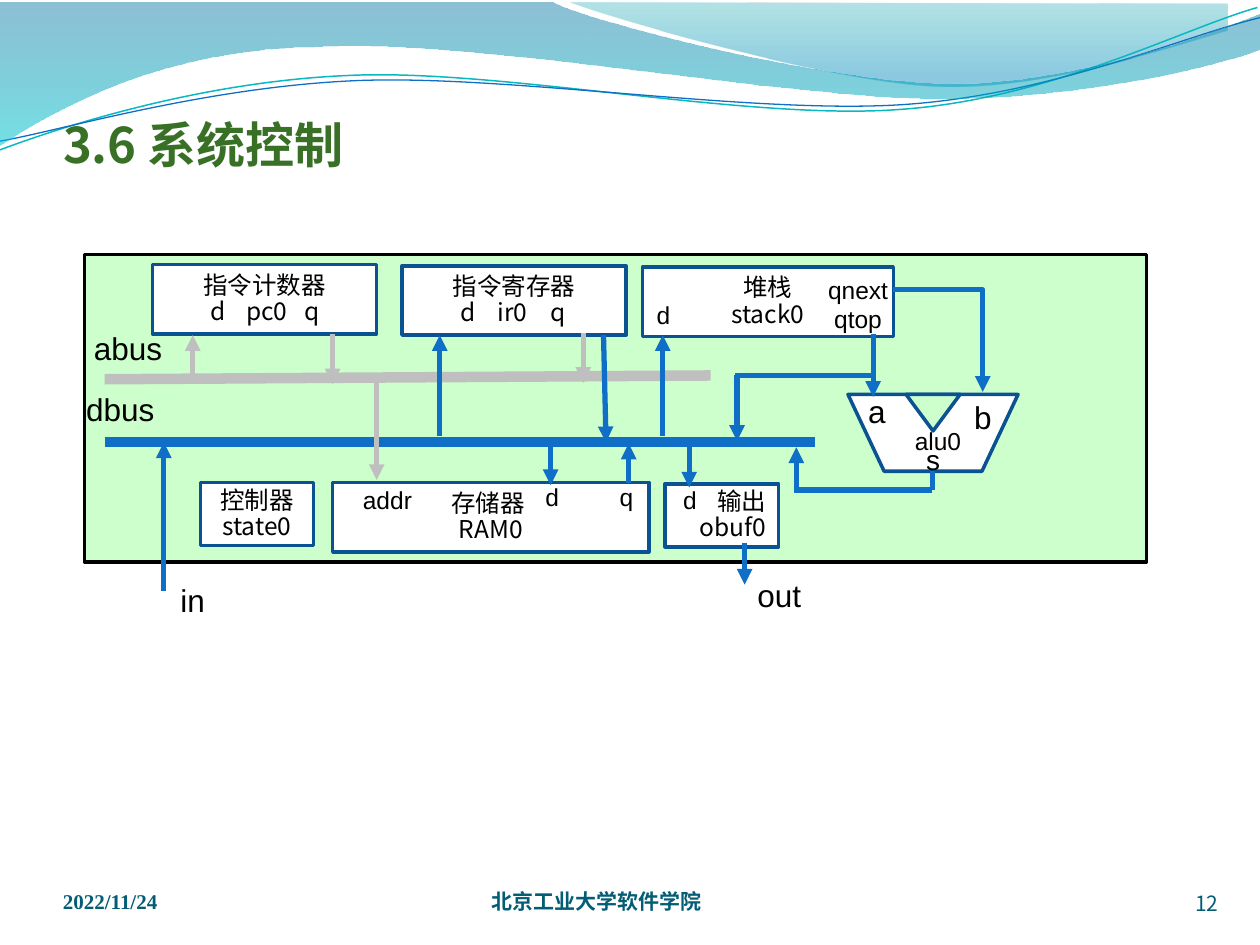
import pptx
import pptx.util
import pptx.dml.color
import pptx.enum.shapes
import pptx.enum.text
import pptx.oxml
import pptx.oxml.ns
from pptx.util import Inches

SHAPE = pptx.enum.shapes.MSO_SHAPE
LINK = pptx.enum.shapes.MSO_CONNECTOR
ALIGN = pptx.enum.text.PP_ALIGN
ANCHOR = pptx.enum.text.MSO_ANCHOR
HAN, LATIN, SERIF = "Noto Sans CJK SC", "Arial", "Times New Roman"
BLUE, GREY, EDGE, GREEN = "0F6FC6", "BFBFBF", "0B5292", "CCFFCC"
WHITE, BLACK, TEAL = "FFFFFF", "000000", "045D75"
NS = 'xmlns:a="http://schemas.openxmlformats.org/drawingml/2006/main"'

BLOCKS = [
    ((1.21, 2.1, 1.78, 0.55), "指令计数器\n\td\tpc0\tq", (0.42, 0.81, 1.17), ALIGN.CENTER),
    ((3.19, 2.11, 1.78, 0.55), "指令寄存器\n\td\tir0\tq", (0.43, 0.78, 1.14), ALIGN.CENTER),
    ((5.1, 2.12, 1.99, 0.55), "堆栈\nstack0", (), ALIGN.CENTER),
    ((1.59, 3.83, 0.9, 0.5), "控制器state0", (), ALIGN.CENTER),
    ((2.64, 3.83, 2.51, 0.55), "存储器 \nRAM0", (), ALIGN.CENTER),
    ((5.28, 3.84, 0.9, 0.5), "输出obuf0", (), ALIGN.RIGHT),
]
BUSES = [(0.83, 3.51, 6.47, 3.51, BLUE), (0.83, 3.01, 5.64, 2.98, GREY)]
ARROWS = [
    (1.3, 4.69, 1.3, 3.51, BLUE), (5.47, 3.5, 5.47, 3.87, BLUE),
    (5.91, 4.31, 5.91, 4.64, BLUE), (2.99, 3.02, 2.99, 3.81, GREY),
    (4.37, 3.5, 4.37, 3.85, BLUE), (4.99, 3.83, 4.99, 3.52, BLUE),
    (5.26, 3.46, 5.26, 2.66, BLUE), (6.93, 2.65, 6.93, 3.15, BLUE),
    (6.32, 3.89, 6.32, 3.55, BLUE), (5.85, 2.98, 5.85, 3.5, BLUE),
    (1.53, 3, 1.53, 2.66, GREY), (2.64, 2.65, 2.64, 3.05, GREY),
    (3.49, 3.46, 3.49, 2.66, BLUE), (4.63, 2.64, 4.63, 3.04, GREY),
    (4.79, 2.66, 4.81, 3.51, BLUE),
]
WIRES = [(7.4, 3.74, 7.4, 3.89), (7.4, 3.89, 6.3, 3.89), (6.93, 2.98, 5.83, 2.98)]
LABELS = [
    ("out", 5.91, 4.52, 0.55, 0.4, 18), ("in", 1.33, 4.56, 0.4, 0.4, 18),
    ("dbus", 0.58, 3.05, 0.75, 0.4, 18), ("abus", 0.64, 2.56, 0.75, 0.4, 18),
    ("addr", 2.78, 3.8, 0.59, 0.34, 14), ("d", 5.32, 3.8, 0.31, 0.34, 14),
    ("d", 5.11, 2.33, 0.31, 0.34, 14), ("qnext\nqtop", 6.47, 2.13, 0.68, 0.57, 14),
    ("alu0", 7.16, 3.33, 0.57, 0.34, 14), ("a", 6.79, 3.06, 0.34, 0.4, 18),
    ("b", 7.63, 3.11, 0.34, 0.4, 18), ("s", 7.25, 3.46, 0.31, 0.37, 16),
]
UPPER_BAND = [(4.53, 0.02), [(4.83, 0.14), (6.56, 0.64), (7.42, 0.68)],
              [(8.29, 0.72), (9.35, 0.35), (9.74, 0.24)], (9.74, 0.03)]
LOWER_BAND = [(-0.01, 0.02), (4.39, 0.02), [(4.75, 0.19), (6.62, 0.66), (7.57, 0.66)],
              [(8.52, 0.66), (9.57, 0.28), (9.99, 0.11)], (10, 0.39),
              [(9.82, 0.47), (8.69, 0.78), (7.45, 0.78)],
              [(6.21, 0.78), (3.81, 0.31), (2.56, 0.37)],
              [(1.28, 0.38), (0.45, 0.86), (-0.02, 1.16)]]
TEAL_WAVE = [(0, 1.19), [(0.48, 1.01), (1.58, 0.65), (2.76, 0.6)],
             [(3.95, 0.54), (5.92, 0.96), (7.13, 0.87)],
             [(8.33, 0.79), (9.38, 0.23), (9.98, 0.06)]]
BLUE_WAVE = [(0, 1.12), [(0.47, 1.04), (1.63, 0.69), (2.83, 0.64)],
             [(4.02, 0.59), (5.97, 0.91), (7.17, 0.83)],
             [(8.36, 0.75), (9.41, 0.28), (10, 0.14)]]


def rgb(value):
    """Turn a hex string into a colour."""
    return pptx.dml.color.RGBColor.from_string(value)


def element(markup):
    """Parse one drawing element such as 'ea typeface="Arial"'."""
    return pptx.oxml.parse_xml(f"<a:{markup[:markup.find(' ')]} {NS}{markup[markup.find(' '):]}/>")


def style_text(frame, text, size, font, color, align=ALIGN.LEFT, bold=False):
    """Fill a text frame and format every run."""
    frame.text = text
    for paragraph in frame.paragraphs:
        paragraph.alignment = align
        for run in paragraph.runs:
            run.font.size = pptx.util.Pt(size)
            run.font.name = font
            run.font.bold = bold
            run.font.color.rgb = rgb(color)
            latin = run.font._element.find(pptx.oxml.ns.qn("a:latin"))
            latin.addnext(element(f'ea typeface="{font}"'))


def set_tabs(paragraph, stops, align):
    """Left-align a paragraph and give it tab stops in inches."""
    paragraph.alignment = ALIGN.LEFT
    tabs = pptx.oxml.parse_xml(f"<a:tabLst {NS}/>")
    for stop in stops:
        tabs.append(element(f'tab pos="{Inches(stop)}" algn="{align}"'))
    paragraph._p.get_or_add_pPr().append(tabs)


def add_label(slide, text, box, size):
    """Add an unwrapped, growing label and return its frame."""
    frame = slide.shapes.add_textbox(*map(Inches, box)).text_frame
    frame.word_wrap = False
    frame.auto_size = pptx.enum.text.MSO_AUTO_SIZE.SHAPE_TO_FIT_TEXT
    style_text(frame, text, size, LATIN, BLACK, ALIGN.CENTER)
    return frame


def add_footer(slide, text, box, font, align=ALIGN.LEFT, bold=True):
    """Add a bottom-anchored footer text without insets."""
    frame = slide.shapes.add_textbox(*map(Inches, box)).text_frame
    frame.word_wrap = True
    frame.vertical_anchor = ANCHOR.BOTTOM
    frame.margin_left = frame.margin_right = frame.margin_top = frame.margin_bottom = 0
    style_text(frame, text, 12, font, TEAL, align, bold)


def add_panel(slide, kind, box, fill, edge=EDGE, rotation=0):
    """Add a filled preset shape with an outline."""
    panel = slide.shapes.add_shape(kind, *map(Inches, box))
    panel.shadow.inherit = False
    panel.fill.solid()
    panel.fill.fore_color.rgb = rgb(fill)
    panel.line.color.rgb = rgb(edge)
    panel.line.width = pptx.util.Pt(2)
    panel.rotation = rotation
    return panel


def add_block(slide, box, text, tabs, align):
    """Add a hardware block with its caption and port row."""
    frame = add_panel(slide, SHAPE.RECTANGLE, box, WHITE).text_frame
    frame.word_wrap = True
    frame.vertical_anchor = ANCHOR.MIDDLE
    style_text(frame, text, 14, HAN, BLACK, align)
    for paragraph in frame.paragraphs:
        paragraph.line_spacing = pptx.util.Pt(15)
    if tabs:
        set_tabs(frame.paragraphs[-1], tabs, "ctr")


def add_wire(slide, ends, color=BLUE, width=3, arrow=True, kind=LINK.STRAIGHT):
    """Add a connector, with an arrowhead if wanted."""
    wire = slide.shapes.add_connector(kind, *map(Inches, ends))
    wire.line.color.rgb = rgb(color)
    wire.line.width = pptx.util.Pt(width)
    if arrow:
        wire.line._get_or_add_ln().append(element('tailEnd type="triangle"'))
    wire._element.spPr.append(element("effectLst "))
    return wire


def add_outline(slide, outline, close):
    """Add a freeform whose three-point parts are cubic curves."""
    points = [point for part in outline
              for point in (part if isinstance(part, list) else [part])]
    start, *rest = [(Inches(x), Inches(y)) for x, y in points]
    builder = slide.shapes.build_freeform(*start)
    builder.add_line_segments(rest, close=close)
    shape = builder.convert_to_shape()
    shape.shadow.inherit = False
    segments = iter(list(shape._element.spPr.iter(pptx.oxml.ns.qn("a:lnTo"))))
    for part in outline[1:]:
        first = next(segments)
        if isinstance(part, list):
            curve = element("cubicBezTo ")
            first.addprevious(curve)
            for segment in (first, next(segments), next(segments)):
                curve.append(segment[0])
                segment.getparent().remove(segment)
    return shape


def add_band(slide, outline, stops):
    """Add a translucent band with a downward gradient."""
    band = add_outline(slide, outline, True)
    band.line.fill.background()
    band.fill.gradient()
    band.fill.gradient_angle = 270
    for stop, (position, color, opacity) in zip(band.fill.gradient_stops, stops):
        stop.position = position
        stop.color.rgb = rgb(color)
    tints = band._element.spPr.iter(pptx.oxml.ns.qn("a:srgbClr"))
    for tint, (position, color, opacity) in zip(tints, stops):
        tint.append(element(f'alpha val="{opacity * 1000}"'))


def add_wave(slide, outline, color, width):
    """Add a thin open curve."""
    wave = add_outline(slide, outline, False)
    wave.fill.background()
    wave.line.color.rgb = rgb(color)
    wave.line.width = pptx.util.Pt(width)


def add_title(slide, text):
    """Format the title placeholder and bring it above the bands."""
    title = slide.shapes.title
    title.left, title.top, title.width, title.height = map(Inches, (0.5, 0.76, 9, 0.62))
    frame = title.text_frame
    frame.vertical_anchor = ANCHOR.BOTTOM
    frame.margin_left = frame.margin_right = frame.margin_bottom = 0
    style_text(frame, text, 28, HAN, "387026", bold=True)
    slide.shapes._spTree.append(title._element)


def main():
    """Build the system control slide."""
    deck = pptx.Presentation()
    deck.slide_width, deck.slide_height = Inches(10), Inches(7.5)
    slide = deck.slides.add_slide(deck.slide_layouts[5])
    add_band(slide, UPPER_BAND, [(0, "00A1A9", 30), (0.8, "008BBF", 45)])
    add_wave(slide, TEAL_WAVE, "0AB8BF", 0.85)
    add_wave(slide, BLUE_WAVE, BLUE, 0.75)
    add_band(slide, LOWER_BAND, [(0, "0074A1", 45), (1, "00C6CF", 55)])
    add_footer(slide, "2022/11/24", (0.5, 6.88, 2.33, 0.37), SERIF)
    add_footer(slide, "北京工业大学软件学院", (3.9, 6.88, 3.67, 0.37), HAN)
    add_footer(slide, "12", (8.84, 6.9, 0.83, 0.37), HAN, ALIGN.RIGHT, False)
    add_title(slide, "3.6 系统控制")
    add_panel(slide, SHAPE.RECTANGLE, (0.67, 2.02, 8.43, 2.44), GREEN, BLACK)
    for *ends, color in BUSES:
        add_wire(slide, ends, color, 6, False)
    for block in BLOCKS:
        add_block(slide, *block)
    alu = add_panel(slide, SHAPE.TRAPEZOID, (6.73, 3.13, 1.35, 0.61), WHITE, rotation=180)
    alu.adjustments[0] = 0.47
    add_panel(slide, SHAPE.ISOSCELES_TRIANGLE, (7.19, 3.13, 0.43, 0.29), GREEN, rotation=180)
    for *ends, color in ARROWS:
        add_wire(slide, ends, color)
    for ends in WIRES:
        add_wire(slide, ends, arrow=False)
    next_wire = add_wire(slide, (7.09, 2.3, 7.8, 3.11), kind=LINK.ELBOW)
    next_wire._element.spPr.prstGeom.set("prst", "bentConnector2")
    for text, *box, size in LABELS:
        add_label(slide, text, box, size)
    memory_ports = add_label(slide, "d\tq", (4.23, 3.78, 0.91, 0.34), 14)
    set_tabs(memory_ports.paragraphs[0], [0.59], "l")
    deck.save("out.pptx")


if __name__ == "__main__":
    main()
